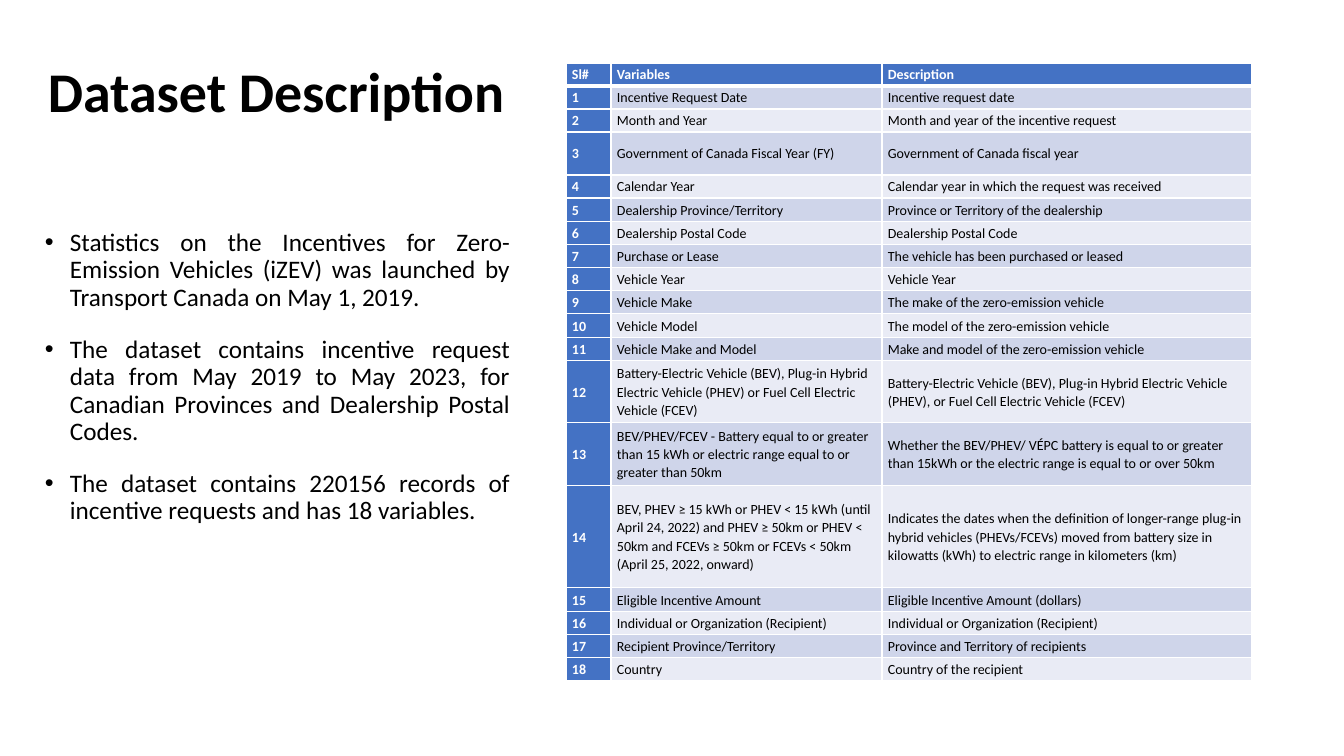
from lxml import etree
from pptx import Presentation
from pptx import util as u
from pptx.dml.color import RGBColor
from pptx.enum import text
from pptx.oxml.ns import qn

TITLE = "Dataset Description"
POINTS = [
    "Statistics on the Incentives for Zero-Emission Vehicles (iZEV) was launched by Transport Canada on May 1, 2019.",
    "The dataset contains incentive request data from May 2019 to May 2023, for Canadian Provinces and Dealership Postal Codes.",
    "The dataset contains 220156 records of incentive requests and has 18 variables.",
]
HEAD = ("Sl#", "Variables", "Description")
VARS = [
    ("Incentive Request Date", "Incentive request date"),
    ("Month and Year", "Month and year of the incentive request"),
    ("Government of Canada Fiscal Year (FY)", "Government of Canada fiscal year"),
    ("Calendar Year", "Calendar year in which the request was received"),
    ("Dealership Province/Territory", "Province or Territory of the dealership"),
    ("Dealership Postal Code", "Dealership Postal Code"),
    ("Purchase or Lease", "The vehicle has been purchased or leased"),
    ("Vehicle Year", "Vehicle Year"),
    ("Vehicle Make", "The make of the zero-emission vehicle"),
    ("Vehicle Model", "The model of the zero-emission vehicle"),
    ("Vehicle Make and Model", "Make and model of the zero-emission vehicle"),
    ("Battery-Electric Vehicle (BEV), Plug-in Hybrid Electric Vehicle (PHEV) or Fuel Cell Electric Vehicle (FCEV)",
     "Battery-Electric Vehicle (BEV), Plug-in Hybrid Electric Vehicle (PHEV), or Fuel Cell Electric Vehicle (FCEV)"),
    ("BEV/PHEV/FCEV - Battery equal to or greater than 15 kWh or electric range equal to or greater than 50km",
     "Whether the BEV/PHEV/ VÉPC battery is equal to or greater than 15kWh or the electric range is equal to or over 50km"),
    ("BEV, PHEV ≥ 15 kWh or PHEV < 15 kWh (until April 24, 2022) and PHEV ≥ 50km or PHEV < 50km "
     "and FCEVs ≥ 50km or FCEVs < 50km (April 25, 2022, onward)",
     "Indicates the dates when the definition of longer-range plug-in hybrid vehicles (PHEVs/FCEVs) "
     "moved from battery size in kilowatts (kWh) to electric range in kilometers (km)"),
    ("Eligible Incentive Amount", "Eligible Incentive Amount (dollars)"),
    ("Individual or Organization (Recipient)", "Individual or Organization (Recipient)"),
    ("Recipient Province/Territory", "Province and Territory of recipients"),
    ("Country", "Country of the recipient"),
]
COLS = [45, 271, 370]
# Row edges, from the top of the table to its foot
EDGES = [63, 86, 109, 132, 175, 198, 222, 245, 268, 291, 314, 338,
         361, 423, 486, 588, 612, 635, 658, 681]
BLUE, BANDS = "4472C4", ("E9EBF5", "CFD5EA")
WHITE, BLACK = "FFFFFF", "000000"


def px(n):
    return u.Emu(round(n * 914400 / 100.8))


def rgb(code):
    return RGBColor.from_string(code)


def style(para, size, color, bold, lead):
    font = para.font
    font.name, font.size, font.bold = "Calibri", u.Pt(size), bold
    font.color.rgb = rgb(color)
    para.line_spacing = lead


def frame(slide, *box):
    body = slide.shapes.add_textbox(*map(px, box)).text_frame
    body.word_wrap = True
    return body


def bullet(para):
    props = para._p.get_or_add_pPr()
    props.set("marL", str(px(31)))
    props.set("indent", str(-px(25)))
    etree.SubElement(props, qn("a:buFont"), typeface="Arial")
    etree.SubElement(props, qn("a:buChar"), char="•")


def border(cell, side, width):
    line = etree.SubElement(cell._tc.get_or_add_tcPr(), qn("a:ln" + side), w=str(u.Pt(width)))
    fill = etree.SubElement(line, qn("a:solidFill"))
    etree.SubElement(fill, qn("a:srgbClr"), val=WHITE)


def draw_cell(cell, words, row, col):
    key = row == 0 or col == 0
    for side in "LRTB" if row == 0 else "LRB":
        border(cell, side, 3 if row == 0 and side == "B" else 1)
    cell.fill.solid()
    cell.fill.fore_color.rgb = rgb(BLUE if key else BANDS[row % 2])
    cell.margin_left = cell.margin_right = px(6)
    cell.margin_top = cell.margin_bottom = 0
    cell.vertical_anchor = text.MSO_ANCHOR.MIDDLE
    cell.text = words
    style(cell.text_frame.paragraphs[0], 10, WHITE if key else BLACK, key, 1.07)


prs = Presentation()
prs.slide_width, prs.slide_height = px(1344), px(756)
slide = prs.slides.add_slide(prs.slide_layouts[6])

# Title
body = frame(slide, 38, 46, 527, 84)
body.vertical_anchor = text.MSO_ANCHOR.BOTTOM
body.text = TITLE
style(body.paragraphs[0], 40, BLACK, True, 0.9)
body.paragraphs[0].space_after = u.Pt(6)

# Bullet points
body = frame(slide, 29, 225, 491, 379)
body.text = "\n".join(POINTS)
for para in body.paragraphs:
    bullet(para)
    style(para, 18, BLACK, False, 0.9)
    para.alignment = text.PP_ALIGN.JUSTIFY
    para.space_after = u.Pt(18)

# Table of variables
rows = [HEAD] + [(str(n), *pair) for n, pair in enumerate(VARS, 1)]
table = slide.shapes.add_table(len(rows), len(COLS), px(566), px(EDGES[0]),
                               px(sum(COLS)), px(EDGES[-1] - EDGES[0])).table
table.horz_banding = False
for col, width in zip(table.columns, COLS):
    col.width = px(width)
for row, top, foot in zip(table.rows, EDGES, EDGES[1:]):
    row.height = px(foot - top)
for r, row in enumerate(rows):
    for c, words in enumerate(row):
        draw_cell(table.cell(r, c), words, r, c)

prs.save("out.pptx")
